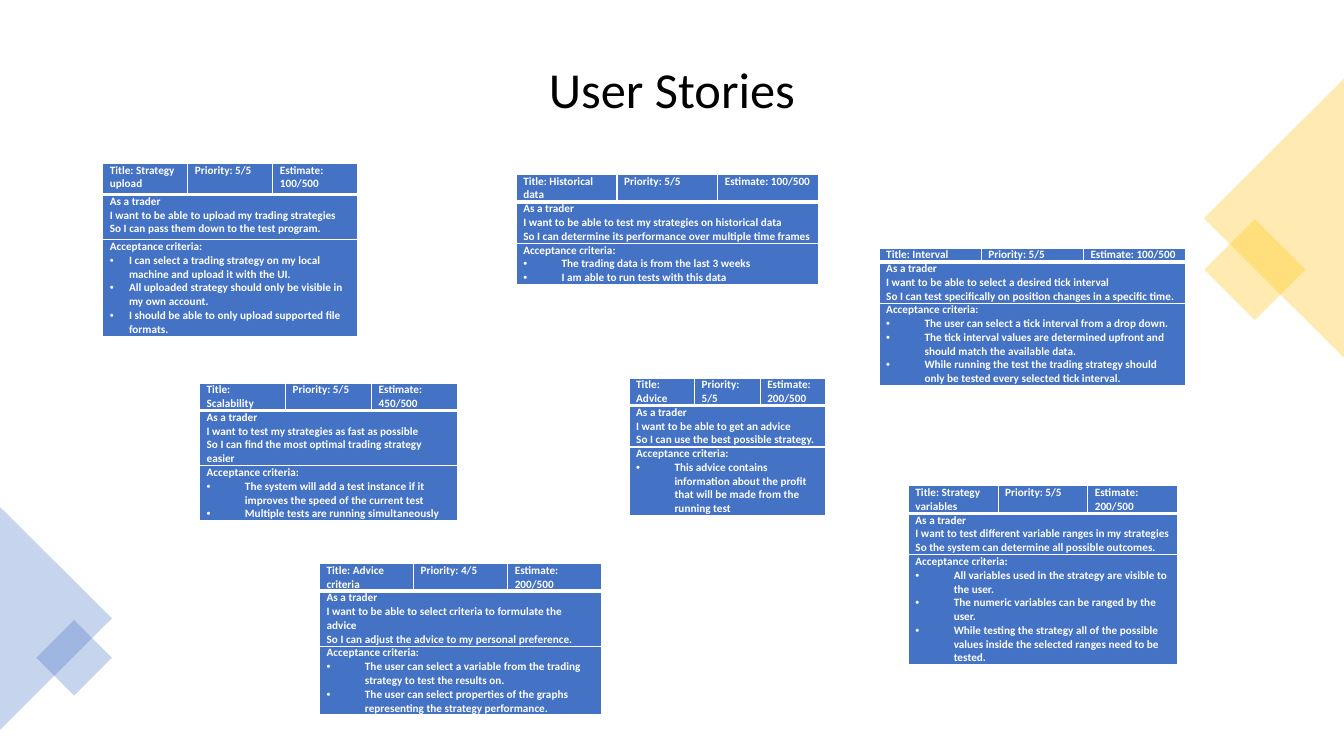
from dataclasses import dataclass

from lxml import etree
from pptx import Presentation
from pptx import util as u
from pptx.dml.color import RGBColor
from pptx.enum import shapes, text
from pptx.oxml import ns

EMU_PER_PX = 9144


def px(length):
    return u.Emu(length * EMU_PER_PX)


@dataclass(frozen=True)
class Theme:
    font: str = "Calibri"
    title_size: int = 36
    story_size: int = 8
    ink: str = "000000"
    paper: str = "FFFFFF"
    blue: str = "4472C4"
    gold: str = "FFC000"
    opacity: int = 30
    thin: int = 1
    thick: int = 3


@dataclass(frozen=True)
class Story:
    box: tuple
    title: str
    priority: str
    estimate: str
    wish: str
    benefit: str
    criteria: tuple
    rows: tuple = (0, 0, 0)
    indent: int = 38

    def grid(self):
        return [
            [[f"Title: {self.title}"], [f"Priority: {self.priority}"], [f"Estimate: {self.estimate}"]],
            [["As a trader", self.wish, self.benefit]],
            [["Acceptance criteria:", *self.criteria]],
        ]


class SlideBuilder:
    def __init__(self, slide, theme):
        self.slide = slide
        self.theme = theme

    def format_runs(self, paragraph, size, color, bold=False):
        for run in paragraph.runs:
            run.font.name = self.theme.font
            run.font.size = u.Pt(size)
            run.font.bold = bold
            run.font.color.rgb = RGBColor.from_string(color)

    def title(self, words, left, top, width, height):
        title = self.slide.shapes.title
        title.left, title.top, title.width, title.height = map(px, (left, top, width, height))
        frame = title.text_frame
        frame.text = words
        frame.auto_size = text.MSO_AUTO_SIZE.NONE
        frame.vertical_anchor = text.MSO_ANCHOR.MIDDLE
        paragraph = frame.paragraphs[0]
        paragraph.alignment = text.PP_ALIGN.CENTER
        paragraph.line_spacing = 0.9
        self.format_runs(paragraph, self.theme.title_size, self.theme.ink)

    def decoration(self, kind, color, rotation, box):
        shape = self.slide.shapes.add_shape(kind, *map(px, box))
        shape.rotation = rotation
        shape.shadow.inherit = False
        shape.line.fill.background()
        shape.fill.solid()
        shape.fill.fore_color.rgb = RGBColor.from_string(color)
        color_element = shape.fill._xPr.find(".//" + ns.qn("a:srgbClr"))
        etree.SubElement(color_element, ns.qn("a:alpha"), val=str(self.theme.opacity * 1000))

    def borders(self, cell, top, bottom):
        properties = cell._tc.get_or_add_tcPr()
        thin = self.theme.thin
        for side, width in zip("LRTB", (thin, thin, top, bottom)):
            line = etree.SubElement(properties, ns.qn(f"a:ln{side}"), w=str(u.Pt(width)))
            fill = etree.SubElement(line, ns.qn("a:solidFill"))
            etree.SubElement(fill, ns.qn("a:srgbClr"), val=self.theme.paper)

    def bullet(self, paragraph, indent):
        properties = paragraph._p.get_or_add_pPr()
        properties.set("marL", str(px(indent)))
        properties.set("indent", str(px(-indent)))
        etree.SubElement(properties, ns.qn("a:buFont"), typeface="Arial")
        etree.SubElement(properties, ns.qn("a:buChar"), char="•")

    def cell(self, cell, lines, bullet_indent=None):
        frame = cell.text_frame
        frame.text = "\n".join(lines)
        for index, paragraph in enumerate(frame.paragraphs):
            self.format_runs(paragraph, self.theme.story_size, self.theme.paper, bold=True)
            if bullet_indent and index:
                self.bullet(paragraph, bullet_indent)

    def story(self, story):
        left, top, width, height = story.box
        graphic = self.slide.shapes.add_table(3, 3, *map(px, story.box))
        table = graphic.table
        table.horz_banding = False
        for column in table.columns:
            column.width = u.Emu(px(width) // 3)
        for row, row_height in zip(table.rows, story.rows):
            row.height = px(row_height)
        graphic.height = px(height)

        thin, thick = self.theme.thin, self.theme.thick
        edges = [(thin, thick), (thick, thin), (thin, thin)]
        for row, (top_edge, bottom_edge) in zip(table.rows, edges):
            for cell in row.cells:
                self.borders(cell, top_edge, bottom_edge)
                cell.fill.solid()
                cell.fill.fore_color.rgb = RGBColor.from_string(self.theme.blue)
                cell.margin_left = cell.margin_right = px(7)
                cell.margin_top = cell.margin_bottom = 0
                self.format_runs(cell.text_frame.paragraphs[0], self.theme.story_size, self.theme.paper)

        for row_index, contents in enumerate(story.grid()):
            if len(contents) == 1:
                table.cell(row_index, 0).merge(table.cell(row_index, 2))
            indent = story.indent if row_index == 2 else None
            for column_index, lines in enumerate(contents):
                self.cell(table.cell(row_index, column_index), lines, indent)


STORIES = [
    Story((102, 162, 253, 169), "Strategy upload", "5/5", "100/500",
          "I want to be able to upload my trading strategies",
          "So I can pass them down to the test program.",
          ("I can select a trading strategy on my local machine and upload it with the UI.",
           "All uploaded strategy should only be visible in my own account.",
           "I should be able to only upload supported file formats."),
          rows=(31, 45, 91), indent=19),
    Story((512, 173, 300, 107), "Historical data", "5/5", "100/500",
          "I want to be able to test my strategies on historical data",
          "So I can determine its performance over multiple time frames",
          ("The trading data is from the last 3 weeks",
           "I am able to run tests with this data")),
    Story((624, 375, 195, 133), "Advice", "5/5", "200/500",
          "I want to be able to get an advice",
          "So I can use the best possible strategy.",
          ("This advice contains information about the profit that will be made from the running test",)),
    Story((901, 482, 267, 187), "Strategy variables", "5/5", "200/500",
          "I want to test different variable ranges in my strategies",
          "So the system can determine all possible outcomes.",
          ("All variables used in the strategy are visible to the user.",
           "The numeric variables can be ranged by the user.",
           "While testing the strategy all of the possible values inside the selected ranges need to be tested.")),
    Story((317, 559, 280, 133), "Advice criteria", "4/5", "200/500",
          "I want to be able to select criteria to formulate the advice",
          "So I can adjust the advice to my personal preference.",
          ("The user can select a variable from the trading strategy to test the results on.",
           "The user can select properties of the graphs representing the strategy performance.")),
    Story((872, 246, 304, 133), "Interval", "5/5", "100/500",
          "I want to be able to select a desired tick interval",
          "So I can test specifically on position changes in a specific time.",
          ("The user can select a tick interval from a drop down.",
           "The tick interval values are determined upfront and should match the available data.",
           "While running the test the trading strategy should only be tested every selected tick interval.")),
    Story((198, 380, 256, 133), "Scalability", "5/5", "450/500",
          "I want to test my strategies as fast as possible",
          "So I can find the most optimal trading strategy easier",
          ("The system will add a test instance if it improves the speed of the current test",
           "Multiple tests are running simultaneously")),
]


def main():
    presentation = Presentation()
    presentation.slide_width, presentation.slide_height = px(1333), px(750)
    theme = Theme()
    slide = presentation.slides.add_slide(presentation.slide_layouts[5])
    builder = SlideBuilder(slide, theme)
    builder.title("User Stories", 70, 29, 1193, 124)

    square, triangle = shapes.MSO_SHAPE.RECTANGLE, shapes.MSO_SHAPE.ISOSCELES_TRIANGLE
    builder.decoration(square, theme.gold, 45, (1209, 232, 71, 71))
    builder.decoration(triangle, theme.gold, 270, (1125, 147, 277, 139))
    builder.decoration(triangle, theme.blue, 90, (-55, 558, 221, 111))
    builder.decoration(square, theme.blue, 45, (47, 626, 53, 53))

    for story in STORIES:
        builder.story(story)
    presentation.save("out.pptx")


if __name__ == "__main__":
    main()
